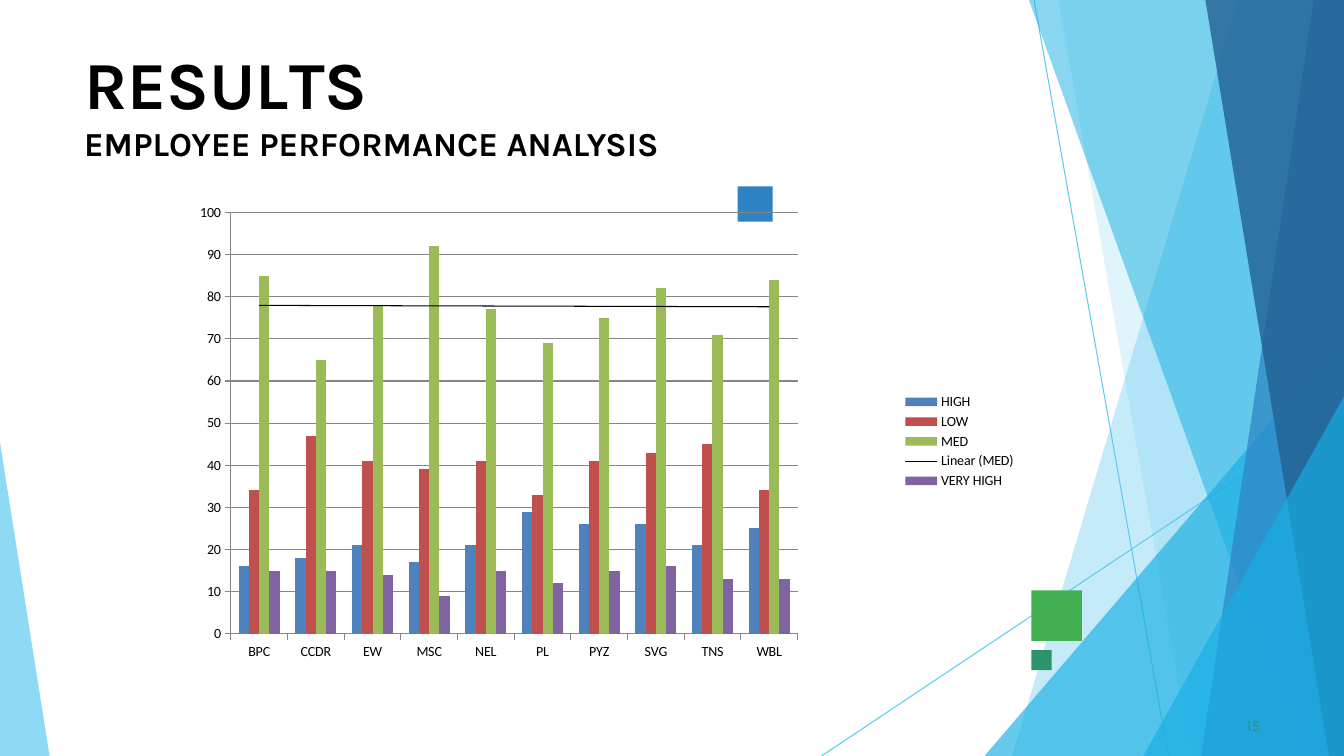
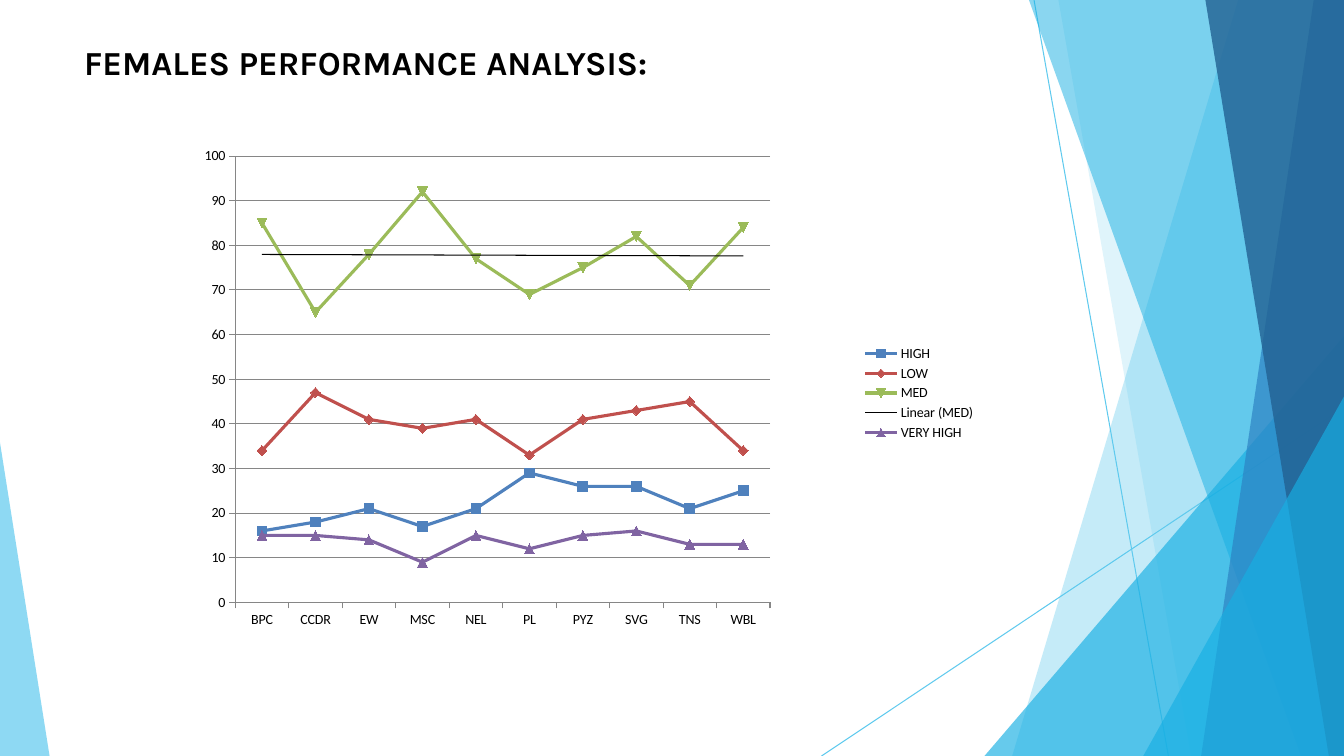
"""Build two slides of employee performance charts."""
from dataclasses import dataclass

import pptx
import pptx.chart.data
import pptx.dml.color
import pptx.enum.chart
import pptx.enum.shapes
import pptx.enum.text
import pptx.oxml
import pptx.oxml.ns
import pptx.util

COLUMNS, ROWS = 160, 90
UNIT = pptx.util.Inches(7.5) / ROWS


@dataclass(frozen=True)
class Theme:
    """Colours, fonts and type sizes shared by the slides."""
    sky: str = "5FCAEE"
    cyan: str = "17AFE3"
    blue: str = "2D83C3"
    navy: str = "226192"
    green: str = "42AF51"
    teal: str = "2D936B"
    ink: str = "000000"
    grid: str = "868686"
    series: tuple = ("4F81BD", "C0504D", "9BBB59", "8064A2")
    text_font: str = "Karla"
    chart_font: str = "Calibri"
    title_size: int = 48
    subtitle_size: int = 24
    number_size: int = 11
    chart_size: int = 10


THEME = Theme()
LINES = [(123.1, 0, 139.1, ROWS), (COLUMNS, 48.5, 97.8, ROWS)]
# Each band: side edge, top column, top row, bottom column, colour, opacity.
BANDS = [
    (COLUMNS, 147.4, 0, 120.5, THEME.sky, 36),
    (COLUMNS, 126, 0, 141.8, THEME.sky, 20),
    (COLUMNS, COLUMNS, 40, 117.2, THEME.cyan, 66),
    (COLUMNS, 122.5, 0, 154.9, THEME.cyan, 50),
    (COLUMNS, 156.4, 0, 143, THEME.blue, 70),
    (COLUMNS, 143.5, 0, 158.2, THEME.navy, 80),
    (COLUMNS, COLUMNS, 47.2, 136.1, THEME.cyan, 66),
    (0, 0, 52.7, 5.9, THEME.sky, 70),
]
SQUARES = [
    (122.8, 70.3, 6, THEME.green),
    (87.8, 22.2, 4.2, THEME.blue),
    (122.8, 77.4, 2.4, THEME.teal),
]
UNITS = ["BPC", "CCDR", "EW", "MSC", "NEL", "PL", "PYZ", "SVG", "TNS", "WBL"]
RATINGS = {
    "HIGH": [16, 18, 21, 17, 21, 29, 26, 26, 21, 25],
    "LOW": [34, 47, 41, 39, 41, 33, 41, 43, 45, 34],
    "MED": [85, 65, 78, 92, 77, 69, 75, 82, 71, 84],
    "VERY HIGH": [15, 15, 14, 9, 15, 12, 15, 16, 13, 13],
}


def cells(*counts):
    """Turn grid counts into lengths."""
    return [pptx.util.Emu(round(count * UNIT)) for count in counts]


def rgb(value):
    """Return a colour from its hex text."""
    return pptx.dml.color.RGBColor.from_string(value)


def xml(body):
    """Parse one element that uses the chart and drawing prefixes."""
    start, rest = body.split(">", 1)
    tail = "/" if start.endswith("/") else ""
    start = start.rstrip("/")
    names = pptx.oxml.ns.nsdecls("c", "a")
    return pptx.oxml.parse_xml(f"{start} {names}{tail}>{rest}")


def paint(shape, color, opacity=100):
    """Give a shape a plain fill without line or shadow."""
    shape.shadow.inherit = False
    shape.line.fill.background()
    shape.fill.solid()
    shape.fill.fore_color.rgb = rgb(color)
    if opacity < 100:
        fill = shape.element.xpath("./p:spPr/a:solidFill/a:srgbClr")[0]
        fill.append(xml(f'<a:alpha val="{opacity * 1000}"/>'))


def add_line(page, *ends):
    """Draw a thin straight line."""
    line = page.shapes.add_connector(
        pptx.enum.shapes.MSO_CONNECTOR.STRAIGHT, *cells(*ends))
    line.line.color.rgb = rgb(THEME.sky)
    line.line.width = pptx.util.Pt(0.75)
    line.element.spPr.append(xml("<a:effectLst/>"))


def add_band(page, edge, top_column, top_row, bottom_column, color, opacity):
    """Draw a translucent band reaching from a slanted side to an edge."""
    builder = page.shapes.build_freeform(*cells(edge, top_row))
    corners = [(top_column, top_row), (bottom_column, ROWS), (edge, ROWS)]
    builder.add_line_segments([cells(*corner) for corner in corners])
    paint(builder.convert_to_shape(), color, opacity)


def add_square(page, left, top, side, color):
    """Draw an accent square."""
    square = page.shapes.add_shape(
        pptx.enum.shapes.MSO_SHAPE.RECTANGLE, *cells(left, top, side, side))
    paint(square, color)


def write(box, spans, color, bold=False):
    """Fill a box with spans of text, size and letter spacing."""
    frame = box.text_frame
    frame.word_wrap = True
    frame.auto_size = pptx.enum.text.MSO_AUTO_SIZE.NONE
    frame.vertical_anchor = pptx.enum.text.MSO_ANCHOR.TOP
    frame.margin_left = frame.margin_right = 0
    frame.margin_top = frame.margin_bottom = 0
    para = frame.paragraphs[0]
    para.alignment = pptx.enum.text.PP_ALIGN.LEFT
    for text, size, spacing in spans:
        if text == "\v":
            para.add_line_break()
            continue
        span = para.add_run()
        span.text = text
        span.font.name = THEME.text_font
        span.font.size = pptx.util.Pt(size)
        span.font.bold = bold
        span.font.color.rgb = rgb(color)
        if spacing:
            span.font._element.set("spc", str(round(spacing * 100)))


def add_page(deck, spans, width, height):
    """Add a titled slide with the shared background."""
    page = deck.slides.add_slide(deck.slide_layouts[5])
    for line in LINES:
        add_line(page, *line)
    for band in BANDS:
        add_band(page, *band)
    title = page.shapes.title
    title.left, title.top, title.width, title.height = cells(
        10, 5, width, height)
    write(title, spans, THEME.ink, bold=True)
    return page


def add_number(page, number):
    """Write the page number in the lower right corner."""
    box = page.shapes.add_textbox(*cells(148.4, 85.2, 4, 2.5))
    write(box, [(number, THEME.number_size, 0)], THEME.teal)


def style_axes(chart):
    """Set the scale, ticks and grid lines."""
    values = chart.value_axis
    values.minimum_scale, values.maximum_scale = 0, 100
    values.major_unit = 10
    values.has_major_gridlines = True
    for axis in (values, chart.category_axis):
        axis.major_tick_mark = pptx.enum.chart.XL_TICK_MARK.OUTSIDE
        axis.minor_tick_mark = pptx.enum.chart.XL_TICK_MARK.NONE
    for part in (values, values.major_gridlines, chart.category_axis):
        part.format.line.color.rgb = rgb(THEME.grid)
        part.format.line.width = pptx.util.Pt(0.75)


def place_plot(chart, top):
    """Fix the plot's inner area and clear the backgrounds."""
    area = chart.element.xpath("./c:chart/c:plotArea")[0]
    for layout in area.xpath("./c:layout"):
        area.remove(layout)
    shares = {"x": 0.065, "y": top, "w": 0.666, "h": 0.81}
    modes = "".join(f'<c:{side}Mode val="edge"/>' for side in "xy")
    sizes = "".join(f'<c:{key} val="{share}"/>'
                    for key, share in shares.items())
    area.insert(0, xml('<c:layout><c:manualLayout><c:layoutTarget val="inner"/>'
                       f"{modes}{sizes}</c:manualLayout></c:layout>"))
    clear = "<c:spPr><a:noFill/><a:ln><a:noFill/></a:ln></c:spPr>"
    area.append(xml(clear))
    chart.element.xpath("./c:txPr")[0].addprevious(xml(clear))


def add_trend(chart, name):
    """Add a linear trend line to the named series."""
    index = list(RATINGS).index(name)
    categories = chart.element.xpath(".//c:ser/c:cat")[index]
    categories.addprevious(xml(
        '<c:trendline><c:spPr><a:ln w="9525"><a:solidFill>'
        f'<a:srgbClr val="{THEME.ink}"/></a:solidFill></a:ln></c:spPr>'
        '<c:trendlineType val="linear"/><c:dispRSqr val="0"/>'
        '<c:dispEq val="0"/></c:trendline>'))


def add_ratings(page, kind, place, plot_top):
    """Chart the ratings of every unit."""
    data = pptx.chart.data.CategoryChartData()
    data.categories = UNITS
    for name, counts in RATINGS.items():
        data.add_series(name, counts)
    chart = page.shapes.add_chart(kind, *cells(*place), data).chart
    chart.font.name = THEME.chart_font
    chart.font.size = pptx.util.Pt(THEME.chart_size)
    chart.font.color.rgb = rgb(THEME.ink)
    chart.has_title = False
    chart.has_legend = True
    chart.legend.position = pptx.enum.chart.XL_LEGEND_POSITION.RIGHT
    chart.legend.include_in_layout = False
    plot = chart.plots[0]
    plot.vary_by_categories = False
    is_line = kind == pptx.enum.chart.XL_CHART_TYPE.LINE_MARKERS
    if not is_line:
        plot.gap_width = 150
    for series, color in zip(plot.series, THEME.series):
        if is_line:
            series.smooth = False
            series.format.line.color.rgb = rgb(color)
            series.format.line.width = pptx.util.Pt(2.25)
            series.marker.size = 7
            paint_marker = series.marker.format
            paint_marker.fill.solid()
            paint_marker.fill.fore_color.rgb = rgb(color)
        else:
            series.format.fill.solid()
            series.format.fill.fore_color.rgb = rgb(color)
    style_axes(chart)
    place_plot(chart, plot_top)
    add_trend(chart, "MED")


def main():
    """Build and save the deck."""
    deck = pptx.Presentation()
    deck.slide_width, deck.slide_height = cells(COLUMNS, ROWS)
    kinds = pptx.enum.chart.XL_CHART_TYPE
    large, small = THEME.title_size, THEME.subtitle_size

    results = add_page(deck, [
        ("RESU", large, 0), ("L", large, -4), ("TS", large, 0),
        ("\v", large, 0), ("EMPLOYEE PERFORMANCE ANALYSIS", small, 0),
    ], 74.8, 24.4)
    for square in SQUARES:
        add_square(results, *square)
    add_number(results, "15")
    add_ratings(results, kinds.COLUMN_CLUSTERED,
                (20.9, 21.6, 101.3, 61.9), 0.06)

    females = add_page(
        deck, [("FEMALES PERFORMANCE ANALYSIS:", small, 0)], 140, 14.5)
    add_ratings(females, kinds.LINE_MARKERS, (21.8, 14, 95.6, 65.6), 0.07)

    deck.save("out.pptx")


if __name__ == "__main__":
    main()
